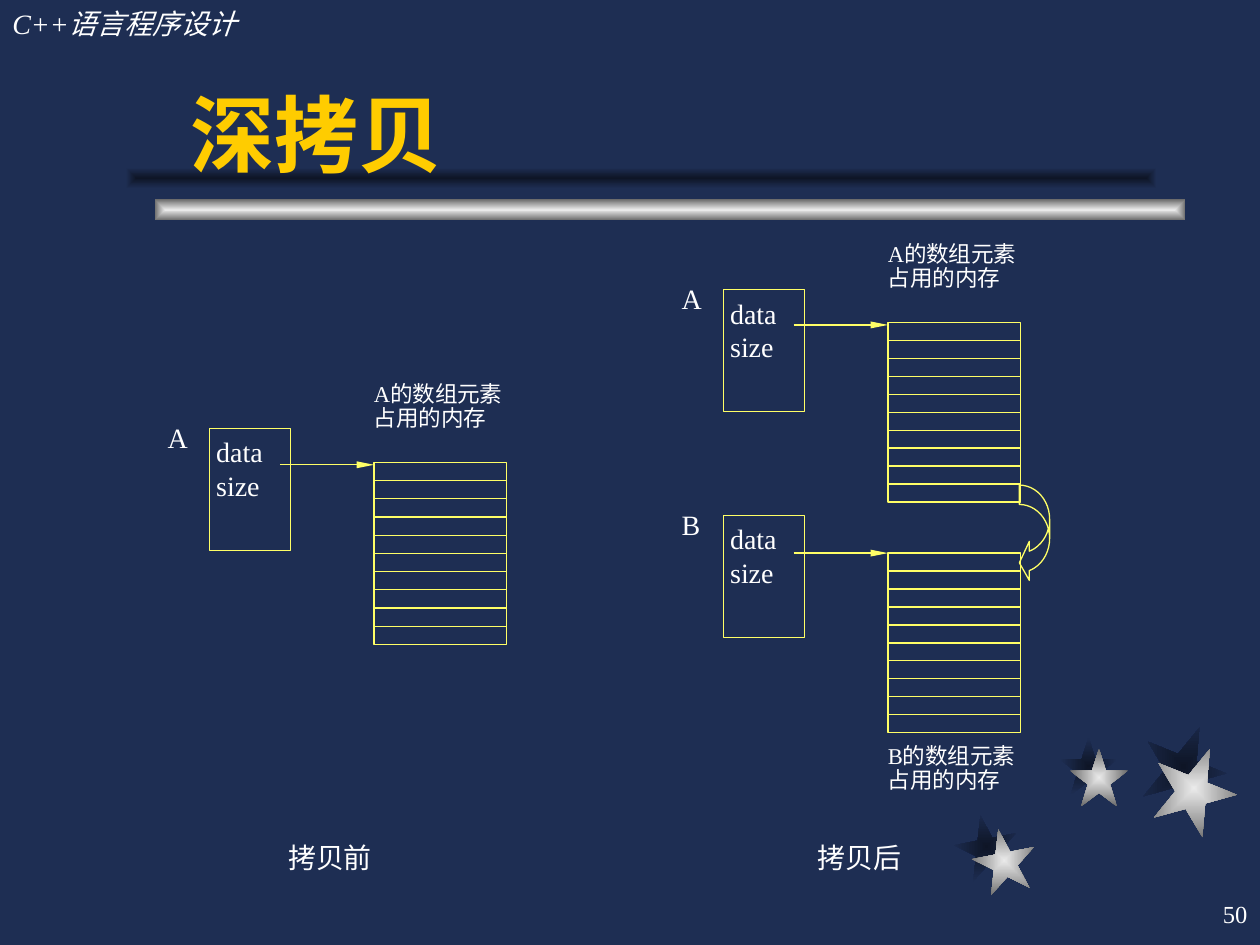
from lxml.etree import SubElement
from pptx import Presentation
from pptx.dml.color import RGBColor
from pptx.enum.dml import MSO_FILL
from pptx.enum.shapes import MSO_CONNECTOR, MSO_SHAPE
from pptx.enum.text import MSO_ANCHOR, MSO_AUTO_SIZE, PP_ALIGN
from pptx.oxml.ns import qn
from pptx.util import Cm, Pt

BACKGROUND, WHITE, YELLOW, GOLD = "1E2E53", "FFFFFF", "FFFF66", "FFCC00"
SHADOW = ("0E1526", BACKGROUND)
SILVER = ("EAEAEA", "6C6C6C")
SERIF = "Times New Roman"
ROWS = 10


def color(value):
    return RGBColor.from_string(value)


def write(tf, lines, size, font=SERIF, fill=WHITE, bold=False, italic=False,
          align=PP_ALIGN.LEFT, spacing=None):
    """Put one paragraph per line into a text frame."""
    for i, line in enumerate(lines):
        p = tf.paragraphs[0] if i == 0 else tf.add_paragraph()
        p.alignment = align
        if spacing:
            p.line_spacing = spacing
        r = p.add_run()
        r.text = line
        r.font.size, r.font.name = Pt(size), font
        r.font.bold, r.font.italic = bold, italic
        r.font.color.rgb = color(fill)


def set_frame(tf, margins, anchor=MSO_ANCHOR.TOP, wrap=True):
    """Margins are (horizontal, vertical) in centimetres."""
    tf.margin_left = tf.margin_right = Cm(margins[0])
    tf.margin_top = tf.margin_bottom = Cm(margins[1])
    tf.vertical_anchor = anchor
    tf.auto_size = MSO_AUTO_SIZE.NONE
    tf.word_wrap = wrap


def add_text(s, x, y, w, h, lines, size, margins=(0, 0), anchor=MSO_ANCHOR.TOP,
             wrap=True, **style):
    tf = s.shapes.add_textbox(Cm(x), Cm(y), Cm(w), Cm(h)).text_frame
    set_frame(tf, margins, anchor, wrap)
    write(tf, lines, size, **style)


def add_gradient(s, kind, x, y, w, h, colors, rotation=0):
    """Borderless shape shaded from its centre to its edges."""
    sp = s.shapes.add_shape(kind, Cm(x), Cm(y), Cm(w), Cm(h))
    sp.shadow.inherit = False
    sp.rotation = rotation
    sp.line.fill.background()
    sp.fill.gradient()
    for stop, value, position in zip(sp.fill.gradient_stops, colors, (0, 1)):
        stop.color.rgb = color(value)
        stop.position = position
    grad = sp._element.spPr.find(qn("a:gradFill"))
    grad.remove(grad.find(qn("a:lin")))
    shade = SubElement(grad, qn("a:path"), {"path": "rect"})
    SubElement(shade, qn("a:fillToRect"), dict.fromkeys("ltrb", "50000"))


def add_outline(s, kind, x, y, w, h):
    sp = s.shapes.add_shape(kind, Cm(x), Cm(y), Cm(w), Cm(h))
    sp.shadow.inherit = False
    sp.fill.background()
    sp.line.color.rgb = color(YELLOW)
    sp.line.width = Pt(0.75)
    return sp


def add_line(s, x1, x2, y, arrow=False):
    line = s.shapes.add_connector(MSO_CONNECTOR.STRAIGHT, Cm(x1), Cm(y), Cm(x2), Cm(y))
    line.line.color.rgb = color(YELLOW)
    line.line.width = Pt(0.75)
    spPr = line._element.spPr
    if arrow:
        SubElement(spPr.find(qn("a:ln")), qn("a:tailEnd"),
                   {"type": "triangle", "w": "sm", "len": "lg"})
    SubElement(spPr, qn("a:effectLst"))


def add_object(s, name, x, y, memory_y, memory_h, arrow_y, caption_y):
    """An object with its two members and the memory its pointer leads to."""
    sp = add_outline(s, MSO_SHAPE.RECTANGLE, x, y, 1.64, 2.46)
    set_frame(sp.text_frame, (0.14, 0.13))
    write(sp.text_frame, ["data", "size"], 16, align=PP_ALIGN.JUSTIFY)
    add_text(s, x - 0.84, y - 0.16, 0.61, 0.72, [name], 16, align=PP_ALIGN.JUSTIFY)

    left, right = x + 3.32, x + 5.99
    add_outline(s, MSO_SHAPE.RECTANGLE, left, memory_y, right - left, memory_h)
    for row in range(1, ROWS):
        add_line(s, left, right, memory_y + row * memory_h / ROWS)
    add_text(s, left, caption_y, 2.87, 1.52, [f"{name}的数组元素", "占用的内存"], 12.9,
             align=PP_ALIGN.JUSTIFY, spacing=0.9)
    add_line(s, x + 1.42, left, arrow_y, arrow=True)


def add_decoration(s):
    # Stars: size, rotation, shadow corner, silver corner
    stars = [
        (1.27, 349, (19.25, 16.43), (19.61, 16.71)),
        (1.17, 0, (21.36, 14.86), (21.57, 15.09)),
        (1.7, 22, (23.01, 14.61), (23.22, 15.04)),
    ]
    for layer, colors in enumerate((SHADOW, SILVER)):
        for size, rotation, *corners in stars:
            add_gradient(s, MSO_SHAPE.STAR_5_POINT, *corners[layer], size, size,
                         colors, rotation)
    # Bar under the title, with its shadow
    add_gradient(s, MSO_SHAPE.RECTANGLE, 3.12, 4.02, 20.78, 0.42, SILVER)
    add_gradient(s, MSO_SHAPE.RECTANGLE, 2.54, 3.38, 20.78, 0.42, SHADOW)


def add_title(s, text):
    title = s.shapes.title
    title.left, title.top, title.width, title.height = Cm(3.6), Cm(0.64), Cm(19.9), Cm(3.18)
    set_frame(title.text_frame, (0.25, 0.13), MSO_ANCHOR.BOTTOM)
    write(title.text_frame, [text], 48, font="Arial", fill=GOLD, bold=True)
    s.shapes._spTree.append(title._element)  # in front of the bars


def main():
    prs = Presentation()
    prs.slide_width, prs.slide_height = Cm(25.4), Cm(19.05)
    s = prs.slides.add_slide(prs.slide_layouts[5])
    s.background.fill.solid()
    s.background.fill.fore_color.rgb = color(BACKGROUND)

    # Frame of the page
    add_decoration(s)
    add_text(s, 0, 0, 7.82, 0.94, ["C++语言程序设计"], 16, (0.25, 0.13), italic=True)
    add_text(s, 20.12, 17.78, 5.28, 1.27, ["50"], 14, (0.25, 0.13),
             MSO_ANCHOR.MIDDLE, align=PP_ALIGN.RIGHT)
    add_title(s, "深拷贝")

    # Before and after the copy
    add_object(s, "A", 4.22, 8.64, 9.32, 3.67, 9.37, 7.72)
    add_object(s, "A", 14.58, 5.84, 6.5, 3.62, 6.55, 4.9)
    add_object(s, "B", 14.58, 10.39, 11.15, 3.62, 11.15, 15.01)
    for x, text in ((4.6, "拷贝前"), (15.27, "拷贝后")):
        add_text(s, x, 16.94, 4.11, 0.84, [text], 16, (0.25, 0), align=PP_ALIGN.CENTER)

    # Contents copied from one memory to the other
    sp = add_outline(s, MSO_SHAPE.CURVED_LEFT_ARROW, 20.55, 9.78, 0.61, 1.96)
    for i, value in enumerate((0.64, 1.29, 0.33)):
        sp.adjustments[i] = value

    prs.save("out.pptx")


if __name__ == "__main__":
    main()
